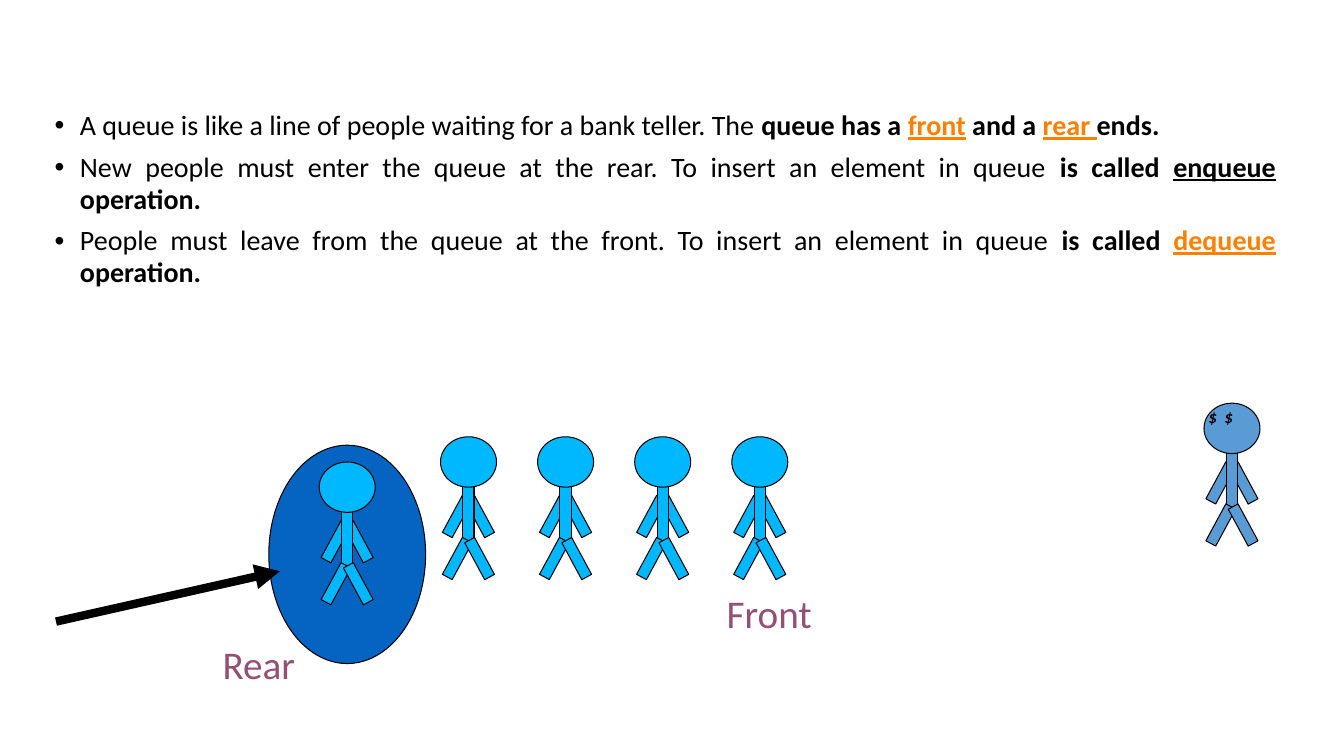
from lxml import etree
from pptx import Presentation
from pptx.dml.color import RGBColor
from pptx.enum.shapes import MSO_CONNECTOR, MSO_SHAPE
from pptx.enum.text import MSO_ANCHOR, MSO_AUTO_SIZE, PP_ALIGN
from pptx.oxml.ns import qn
from pptx.util import Inches, Pt

RECT, OVAL, ROUNDED = MSO_SHAPE.RECTANGLE, MSO_SHAPE.OVAL, MSO_SHAPE.ROUNDED_RECTANGLE
STRAIGHT = MSO_CONNECTOR.STRAIGHT
LEFT, JUSTIFY = PP_ALIGN.LEFT, PP_ALIGN.JUSTIFY
TOP, FIT_SHAPE = MSO_ANCHOR.TOP, MSO_AUTO_SIZE.SHAPE_TO_FIT_TEXT

WIDTH, HEIGHT = Inches(13.333), Inches(7.5)
COLUMNS, ROWS = 120, 90
FONT = "Calibri"
COLORS = {
    "ink": "000000",
    "person": "00B8FF",
    "teller": "5B9BD5",
    "spotlight": "0563C1",
    "term": "FF8000",
    "label": "954F72",
}

# Each run: text, bold, underlined, colour
STATEMENTS = [
    [
        ("A queue is like a line of people waiting for a bank teller. The ", False, False, "ink"),
        ("queue has a ", True, False, "ink"),
        ("front", True, True, "term"),
        (" and a ", True, False, "ink"),
        ("rear ", True, True, "term"),
        ("ends.", True, False, "ink"),
    ],
    [
        ("New people must enter the queue at the rear. To insert an element in queue ",
         False, False, "ink"),
        ("is called ", True, False, "ink"),
        ("enqueue", True, True, "ink"),
        (" operation.", True, False, "ink"),
    ],
    [
        ("People must leave from the queue at the front. To insert an element in queue ",
         False, False, "ink"),
        ("is called ", True, False, "ink"),
        ("dequeue", True, True, "term"),
        (" operation.", True, False, "ink"),
    ],
]

# Column and row offsets, columns, rows, rotation; from back to front
LIMB_ANGLE = 28.4
BODY_PARTS = [
    (RECT, 1, 7, 1, 5, LIMB_ANGLE),
    (RECT, 3, 7, 1, 5, -LIMB_ANGLE),
    (RECT, 2, 5, 1, 8, 0),
    (OVAL, 0, 0, 5, 6, 0),
    (RECT, 1, 12, 1, 5, LIMB_ANGLE),
    (RECT, 3, 12, 1, 5, -LIMB_ANGLE),
]
WAITING, WAITING_STEP = 4, 8.67


def rgb(name):
    return RGBColor.from_string(COLORS[name])


def point(column, row):
    return round(WIDTH * column / COLUMNS), round(HEIGHT * row / ROWS)


def area(column, row, columns, rows):
    return *point(column, row), *point(columns, rows)


def add_run(paragraph, text, size, color, bold=False, underline=False, italic=False):
    run = paragraph.add_run()
    run.text = text
    font = run.font
    font.name, font.size, font.color.rgb = FONT, Pt(size), rgb(color)
    font.bold, font.underline, font.italic = bold, underline, italic
    return run


def add_figure(shapes, kind, box, color, angle=0):
    figure = shapes.add_shape(kind, *box)
    figure.shadow.inherit = False
    figure.fill.solid()
    figure.fill.fore_color.rgb = rgb(color)
    figure.line.color.rgb = rgb("ink")
    figure.line.width = Pt(0.75)
    figure.rotation = angle


def add_person(slide, column, row, color):
    """Draw a grouped stick person with the head's corner at column, row."""
    person = slide.shapes.add_group_shape()
    for kind, across, down, columns, rows, angle in BODY_PARTS:
        box = area(column + across, row + down, columns, rows)
        add_figure(person.shapes, kind, box, color, angle)
    return person


def add_money_eyes(teller, column, row):
    eyes = teller.shapes.add_textbox(*area(column, row, 6, 6)).text_frame
    eyes.word_wrap = True
    paragraph = eyes.paragraphs[0]
    paragraph.line_spacing = 0.95
    paragraph.space_before = Pt(7)
    add_run(paragraph, "$", 12, "ink", bold=True, italic=True)
    gap = add_run(paragraph, " ", 12, "ink", bold=True, italic=True)
    gap.font._element.set("spc", "270")
    add_run(paragraph, "$", 12, "ink", bold=True, italic=True)


def add_statements(slide):
    frame = slide.shapes.add_textbox(*area(4, 12.5, 110.8, 33.5)).text_frame
    frame.word_wrap = True
    for index, statement in enumerate(STATEMENTS):
        paragraph = frame.add_paragraph() if index else frame.paragraphs[0]
        paragraph.alignment = JUSTIFY
        paragraph.line_spacing = 0.95
        paragraph.space_before = Pt(7)
        properties = paragraph._p.get_or_add_pPr()
        properties.set("marL", str(Inches(0.25)))
        properties.set("indent", str(-Inches(0.25)))
        etree.SubElement(properties, qn("a:buFont"), typeface="Arial")
        etree.SubElement(properties, qn("a:buChar"), char="•")
        for text, bold, underline, color in statement:
            add_run(paragraph, text, 20, color, bold, underline)


def add_arrow(slide, start, end):
    arrow = slide.shapes.add_connector(STRAIGHT, *point(*start), *point(*end))
    arrow.line.color.rgb = rgb("ink")
    arrow.line.width = Pt(6)
    etree.SubElement(arrow.line._get_or_add_ln(), qn("a:tailEnd"), type="triangle")
    etree.SubElement(arrow._element.spPr, qn("a:effectLst"))


def add_end_label(slide, text, box):
    label = slide.shapes.add_shape(ROUNDED, *box)
    label.adjustments[0] = 0
    label.shadow.inherit = False
    label.fill.background()
    label.line.fill.background()
    frame = label.text_frame
    frame.word_wrap = False
    frame.auto_size = FIT_SHAPE
    frame.vertical_anchor = TOP
    paragraph = frame.paragraphs[0]
    paragraph.alignment = LEFT
    paragraph.line_spacing = 0.95
    add_run(paragraph, text, 28, "label")


def main():
    deck = Presentation()
    deck.slide_width, deck.slide_height = WIDTH, HEIGHT
    slide = deck.slides.add_slide(deck.slide_layouts[6])

    add_figure(slide.shapes, OVAL, area(24, 53, 14, 26), "spotlight")
    add_statements(slide)
    for place in range(WAITING):
        add_person(slide, 39.33 + place * WAITING_STEP, 52, "person")
    teller = add_person(slide, 107.5, 48, "teller")
    add_money_eyes(teller, 107, 48)
    add_person(slide, 28.5, 55, "person")
    add_arrow(slide, (5, 74), (25, 68))
    add_end_label(slide, "Front", area(64, 70, 9.45, 6.6))
    add_end_label(slide, "Rear", area(19, 76, 8.37, 6.6))

    deck.save("out.pptx")


if __name__ == "__main__":
    main()
